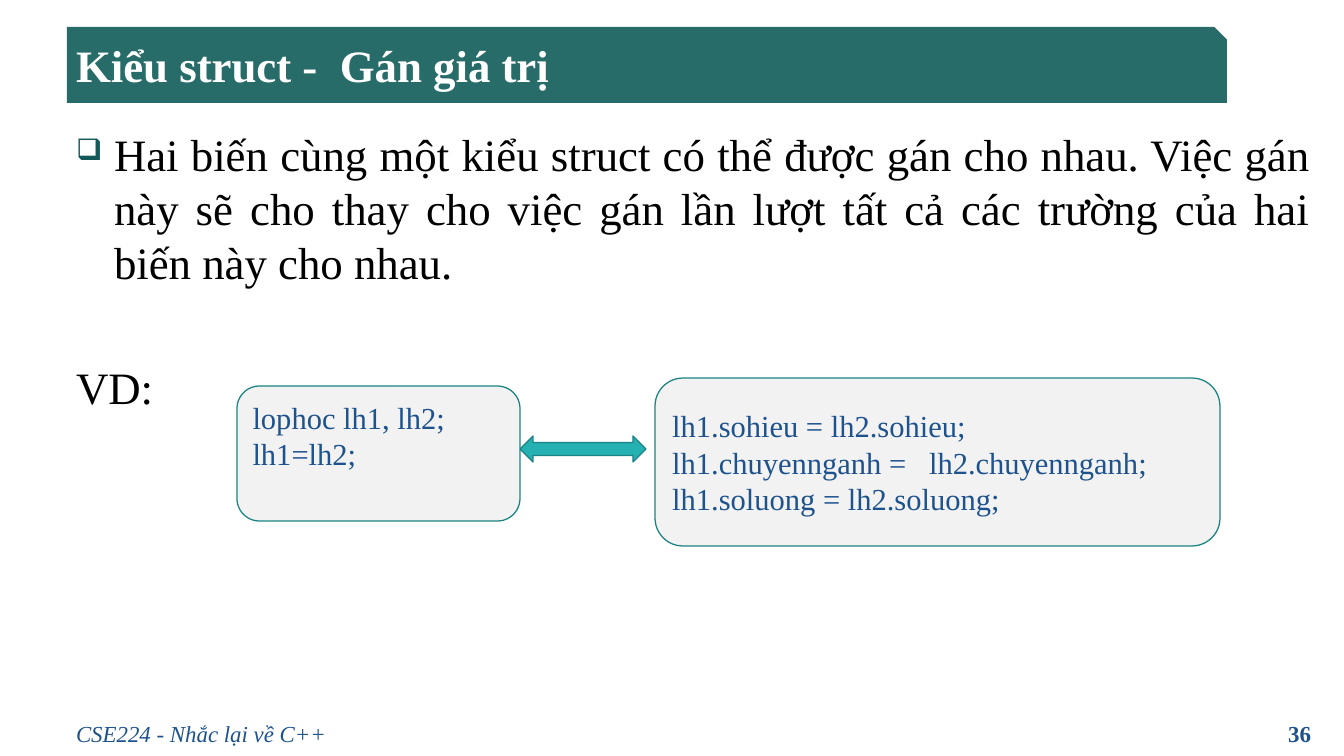
from pptx import Presentation
from pptx import util as u
from pptx.dml.color import RGBColor
from pptx.enum import shapes, text
from pptx.oxml import parse_xml
from pptx.oxml.ns import nsdecls

PX = 9993
SHAPE = shapes.MSO_SHAPE
ALIGN = text.PP_ALIGN
MIDDLE = text.MSO_ANCHOR.MIDDLE
TOP = text.MSO_ANCHOR.TOP
NAVY = "1D528D"


def color(value):
    return RGBColor.from_string(value)


def write(frame, lines, size, ink, anchor=TOP, align=ALIGN.LEFT, **style):
    frame.word_wrap = True
    frame.vertical_anchor = anchor
    for i, line in enumerate(lines):
        paragraph = frame.paragraphs[0] if i == 0 else frame.add_paragraph()
        paragraph.alignment = align
        run = paragraph.add_run()
        run.text = line
        run.font.color.rgb = color(ink)
        for name, value in {"name": "Times New Roman", "size": u.Pt(size), **style}.items():
            setattr(run.font, name, value)


deck = Presentation()
deck.slide_width, deck.slide_height = 1344 * PX, 756 * PX
slide = deck.slides.add_slide(deck.slide_layouts[6])

panels = {}
for part, preset, box, fill, line in [
    ("banner", SHAPE.SNIP_1_RECTANGLE, (67, 27, 1160, 76), "286C6A", None),
    ("fields", SHAPE.ROUNDED_RECTANGLE, (655, 378, 565, 168), "F2F2F2", "1B8383"),
    ("equivalence", SHAPE.LEFT_RIGHT_ARROW, (520, 436, 126, 26), "25B1B1", "1B8383"),
    ("assignment", SHAPE.ROUNDED_RECTANGLE, (237, 386, 283, 135), "F2F2F2", "1B8383"),
]:
    panel = slide.shapes.add_shape(preset, *(n * PX for n in box))
    panel.shadow.inherit = False
    panel.fill.solid()
    panel.fill.fore_color.rgb = color(fill)
    if line:
        panel.line.color.rgb = color(line)
        panel.line.width = u.Pt(1)
    else:
        panel.line.fill.background()
    panels[part] = panel

write(panels["fields"].text_frame, [
    "lh1.sohieu = lh2.sohieu;",
    "lh1.chuyennganh =   lh2.chuyennganh;",
    "lh1.soluong = lh2.soluong;",
], 24, NAVY, MIDDLE)
assignment = panels["assignment"].text_frame
write(assignment, ["lophoc lh1, lh2;", "lh1=lh2;"], 24, NAVY, MIDDLE)
assignment.margin_bottom = 41 * PX

frames = {}
for part, box, lines, size, ink, style in [
    ("title", (67, 34, 1154, 62), ["Kiểu struct -  Gán giá trị"], 35.3, "FFFFFF",
     {"anchor": MIDDLE, "bold": True}),
    ("body", (67, 122, 1253, 566), [
        "Hai biến cùng một kiểu struct có thể được gán cho nhau. Việc gán này sẽ cho "
        "thay cho việc gán lần lượt tất cả các trường của hai biến này cho nhau.",
        "VD:",
    ], 35.3, "000000", {"align": ALIGN.JUSTIFY}),
    ("course", (67, 715, 425, 36), ["CSE224 - Nhắc lại về C++"], 18, NAVY, {"italic": True}),
    ("number", (1006, 715, 314, 36), ["36"], 18, NAVY, {"align": ALIGN.RIGHT, "bold": True}),
]:
    frames[part] = slide.shapes.add_textbox(*(n * PX for n in box)).text_frame
    write(frames[part], lines, size, ink, **style)

rule, example = frames["body"].paragraphs
rule.space_before = u.Pt(7)
example.space_before = u.Pt(56)
bullet = rule._p.get_or_add_pPr()
bullet.set("marL", str(38 * PX))
bullet.set("indent", str(-38 * PX))
for tag in [
    '<a:buClr {}><a:srgbClr val="135959"/></a:buClr>',
    '<a:buSzPct {} val="66000"/>',
    '<a:buChar {} char="❑"/>',
]:
    bullet.append(parse_xml(tag.format(nsdecls("a"))))

deck.save("out.pptx")
